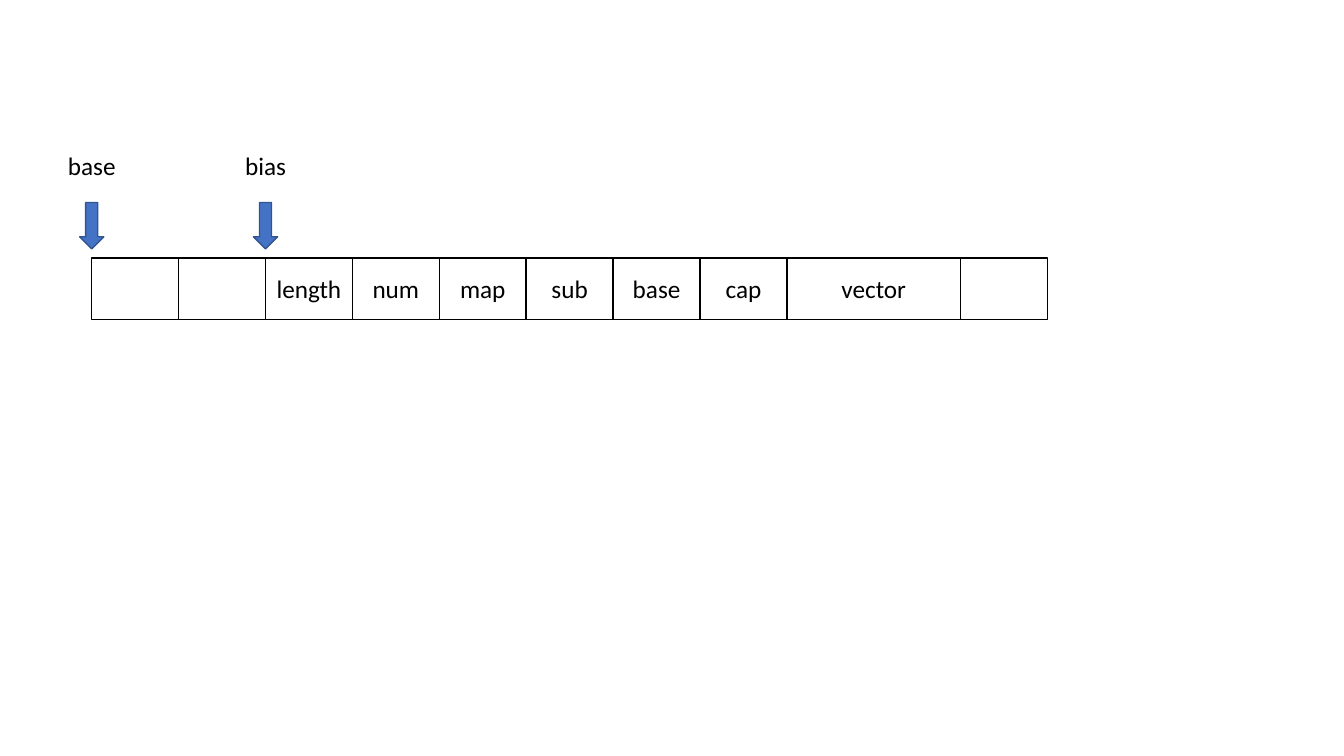
import pptx
import pptx.dml.color
import pptx.enum.shapes
import pptx.enum.text
import pptx.util

SHAPE = pptx.enum.shapes.MSO_SHAPE
FIELDS = [("", 1), ("", 1), ("length", 1), ("num", 1), ("map", 1), ("sub", 1),
          ("base", 1), ("cap", 1), ("vector", 2), ("", 1)]
POINTERS = {"base": 0, "bias": 2}


def colour(code):
    """Turn a hex string into a colour."""
    return pptx.dml.color.RGBColor.from_string(code)


class MemoryDiagram:
    """Holds the style, the column grid and the current page."""

    font = {"name": "Calibri", "size": pptx.util.Pt(18)}
    ink, paper = "000000", "FFFFFF"
    arrow_fill, arrow_line = "4472C4", "325491"
    left, column = 0.91, 9.48 / 11
    row_top, row_height = 2.56, 0.61
    arrow_top, arrow_width, arrow_height = 2.01, 0.24, 0.46
    label_top, label_width, label_height = 1.44, 0.68, 0.4

    def __init__(self, page):
        self.page = page

    def edge(self, column):
        """Give the left edge of a column in inches."""
        return self.left + column * self.column

    def caption(self, box, text, wrap):
        """Put one centred line of text into a box."""
        frame = box.text_frame
        layout = {"word_wrap": wrap,
                  "vertical_anchor": pptx.enum.text.MSO_ANCHOR.MIDDLE,
                  "margin_left": pptx.util.Inches(0.05),
                  "margin_right": pptx.util.Inches(0.05)}
        for name, value in layout.items():
            setattr(frame, name, value)
        para = frame.paragraphs[0]
        para.alignment = pptx.enum.text.PP_ALIGN.CENTER
        span = para.add_run()
        span.text = text
        for name, value in self.font.items():
            setattr(span.font, name, value)
        span.font.color.rgb = colour(self.ink)

    def shape(self, kind, place, fill, line):
        """Draw a flat preset shape at a place in inches."""
        box = self.page.shapes.add_shape(kind, *map(pptx.util.Inches, place))
        box.shadow.inherit = False
        box.fill.solid()
        box.fill.fore_color.rgb = colour(fill)
        box.line.color.rgb = colour(line)
        box.line.width = pptx.util.Pt(1)
        return box

    def field(self, column, span, text):
        """Draw a memory field that spans some columns."""
        place = (self.edge(column), self.row_top, span * self.column, self.row_height)
        box = self.shape(SHAPE.RECTANGLE, place, self.paper, self.ink)
        if text:
            self.caption(box, text, True)

    def pointer(self, column, text):
        """Draw a labelled arrow down to the left edge of a column."""
        centre = self.edge(column)
        self.shape(SHAPE.DOWN_ARROW,
                   (centre - self.arrow_width / 2, self.arrow_top,
                    self.arrow_width, self.arrow_height),
                   self.arrow_fill, self.arrow_line)
        place = (centre - self.label_width / 2, self.label_top,
                 self.label_width, self.label_height)
        label = self.page.shapes.add_textbox(*map(pptx.util.Inches, place))
        self.caption(label, text, False)


def main():
    """Build the deck and save it."""
    deck = pptx.Presentation()
    deck.slide_width = pptx.util.Inches(13.33)
    deck.slide_height = pptx.util.Inches(7.5)
    diagram = MemoryDiagram(deck.slides.add_slide(deck.slide_layouts[6]))
    column = 0
    for text, span in FIELDS:
        diagram.field(column, span, text)
        column += span
    for text, column in POINTERS.items():
        diagram.pointer(column, text)
    deck.save("out.pptx")


main()
